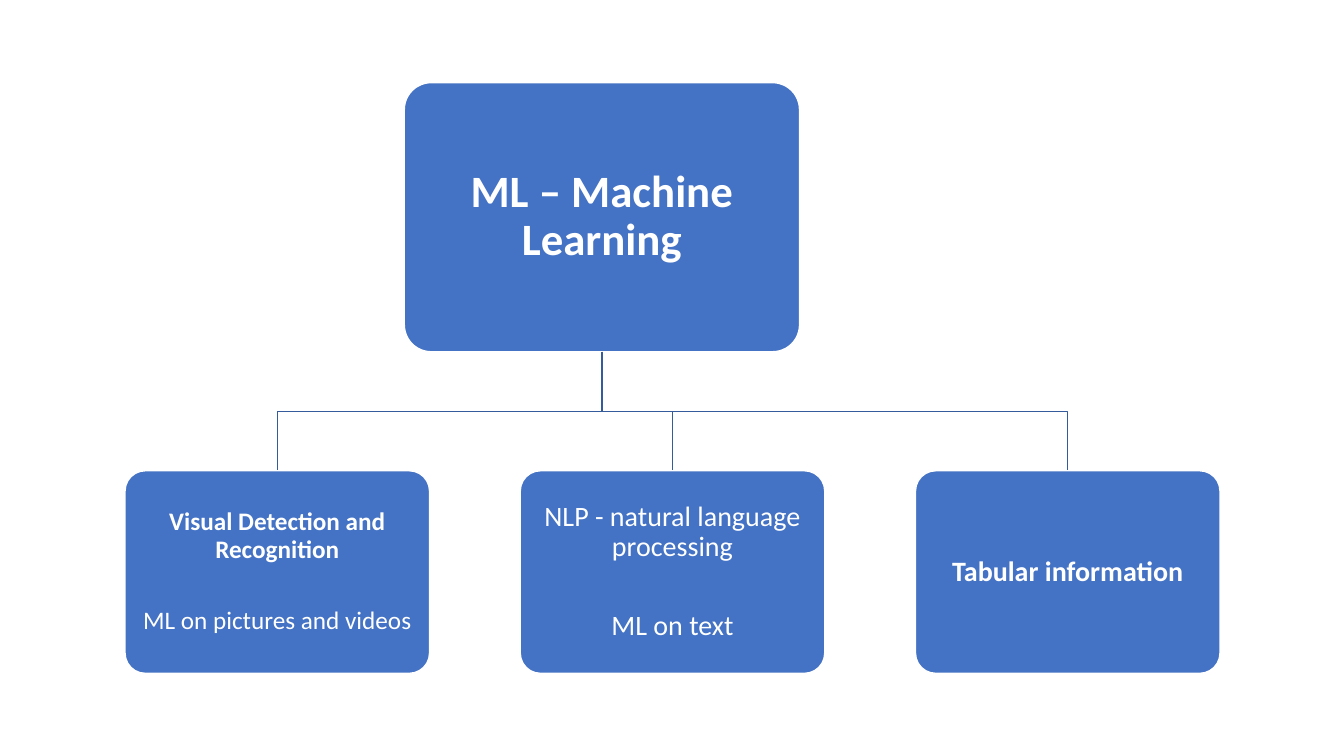
import pptx
import pptx.dml.color
import pptx.enum.shapes
import pptx.enum.text
import pptx.util

Inches = pptx.util.Inches
Pt = pptx.util.Pt
RGBColor = pptx.dml.color.RGBColor

BLUE = RGBColor(0x44, 0x72, 0xC4)
DARK_BLUE = RGBColor(0x36, 0x5B, 0x9D)
WHITE = RGBColor(0xFF, 0xFF, 0xFF)

ROOT_LEFT, ROOT_TOP, ROOT_WIDTH, ROOT_HEIGHT = 4.01, 0.82, 3.92, 2.67
BRANCH_LEFT, BRANCH_TOP, BRANCH_WIDTH, BRANCH_HEIGHT = 1.24, 4.67, 3.02, 2.01
BRANCH_PITCH = 3.92
PARAGRAPH_GAP = 1.76

BRANCHES = [
    (18, 0.07, [("Visual Detection and Recognition", True),
                ("ML on pictures and videos", False)]),
    (20, 0.08, [("NLP - natural language processing", False),
                ("ML on text", False)]),
    (20, 0.08, [("Tabular information", True)]),
]


def add_branch_line(slide, start_x, start_y, end_x, end_y):
    middle_y = (start_y + end_y) / 2
    builder = slide.shapes.build_freeform(Inches(start_x), Inches(start_y))
    corners = [(start_x, middle_y), (end_x, middle_y), (end_x, end_y)]
    builder.add_line_segments(
        [(Inches(x), Inches(y)) for x, y in corners], close=False)
    branch_line = builder.convert_to_shape()
    branch_line.shadow.inherit = False
    branch_line.fill.background()
    branch_line.line.color.rgb = DARK_BLUE
    branch_line.line.width = Pt(1)


def add_topic(slide, left, top, width, height, size, inset, lines):
    topic = slide.shapes.add_shape(
        pptx.enum.shapes.MSO_SHAPE.ROUNDED_RECTANGLE,
        Inches(left), Inches(top), Inches(width), Inches(height))
    topic.adjustments[0] = 0.1
    topic.shadow.inherit = False
    topic.fill.solid()
    topic.fill.fore_color.rgb = BLUE
    topic.line.color.rgb = WHITE
    topic.line.width = Pt(1)

    frame = topic.text_frame
    frame.word_wrap = True
    frame.vertical_anchor = pptx.enum.text.MSO_ANCHOR.MIDDLE
    frame.margin_left = frame.margin_right = Inches(inset)
    frame.margin_top = frame.margin_bottom = Inches(inset)
    frame.text = "\n".join(wording for wording, bold in lines)
    for index, (paragraph, (wording, bold)) in enumerate(zip(frame.paragraphs, lines)):
        paragraph.alignment = pptx.enum.text.PP_ALIGN.CENTER
        paragraph.line_spacing = 0.9
        if index:
            paragraph.space_before = Pt(PARAGRAPH_GAP * size)
        font = paragraph.runs[0].font
        font.name = "Calibri"
        font.size = Pt(size)
        font.bold = bold
        font.color.rgb = WHITE


def main():
    presentation = pptx.Presentation()
    presentation.slide_width = Inches(13.33)
    presentation.slide_height = Inches(7.5)
    slide = presentation.slides.add_slide(presentation.slide_layouts[6])

    add_topic(slide, ROOT_LEFT, ROOT_TOP, ROOT_WIDTH, ROOT_HEIGHT,
              32, 0.13, [("ML – Machine Learning", True)])
    for index, (size, inset, lines) in enumerate(BRANCHES):
        left = BRANCH_LEFT + index * BRANCH_PITCH
        add_branch_line(slide, ROOT_LEFT + ROOT_WIDTH / 2, ROOT_TOP + ROOT_HEIGHT,
                        left + BRANCH_WIDTH / 2, BRANCH_TOP)
        add_topic(slide, left, BRANCH_TOP, BRANCH_WIDTH, BRANCH_HEIGHT,
                  size, inset, lines)

    presentation.save("out.pptx")


main()
